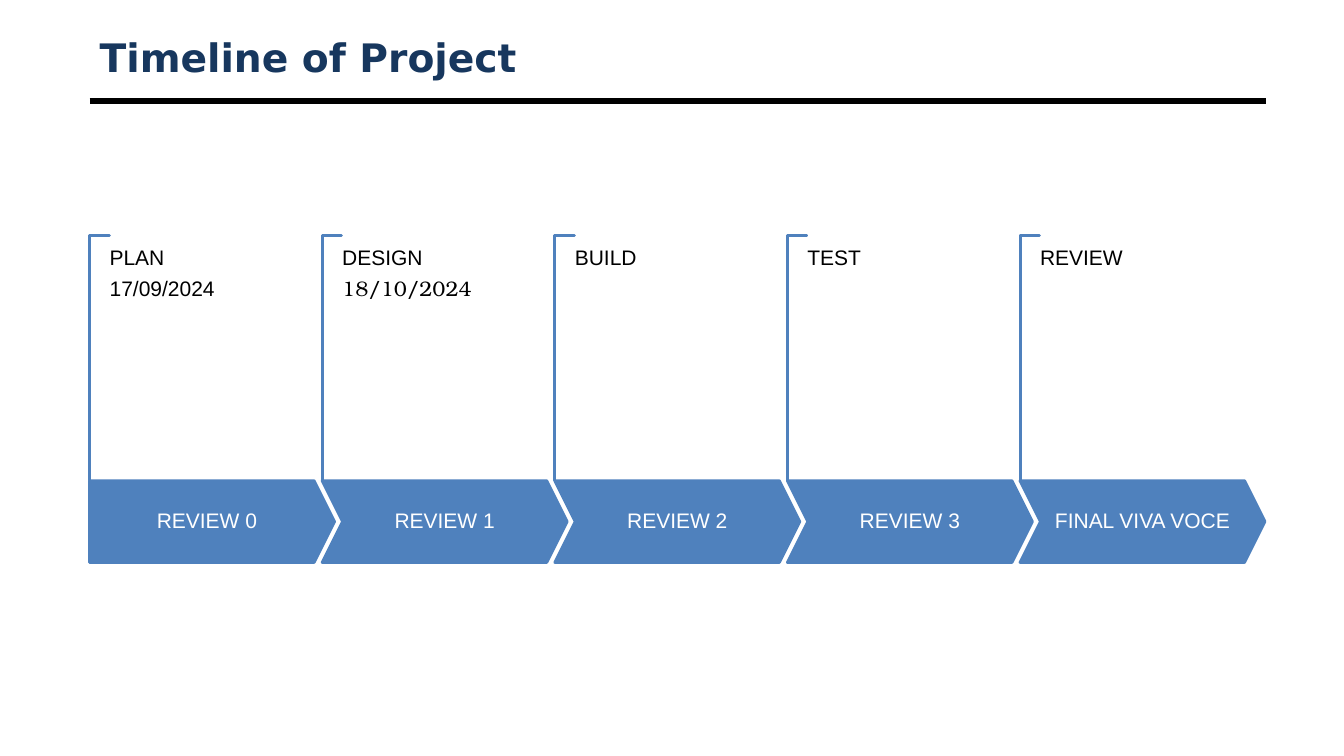
from lxml import etree
from pptx import Presentation
from pptx.dml.color import RGBColor
from pptx.enum import shapes, text
from pptx.oxml import ns
from pptx.util import Pt

NAVY = RGBColor(0x17, 0x37, 0x5E)
BLUE = RGBColor(0x4F, 0x81, 0xBD)
WHITE = RGBColor(0xFF, 0xFF, 0xFF)
BLACK = RGBColor(0x00, 0x00, 0x00)

LEFT = 64
RIGHT = 904.3
PITCH = 166.15
BRACKET_TOP = 168
BAR_TOP = 343.4

STAGES = [
    ("REVIEW 0", [("PLAN", "Arial"), ("17/09/2024", "Arial")]),
    ("REVIEW 1", [("DESIGN", "Arial"), ("18/10/2024", "TeX Gyre Bonum")]),
    ("REVIEW 2", [("BUILD", "Arial")]),
    ("REVIEW 3", [("TEST", "Arial")]),
    ("FINAL VIVA VOCE", [("REVIEW", "Arial")]),
]


class TimelineSlide:
    def __init__(self, presentation):
        self.slide = presentation.slides.add_slide(presentation.slide_layouts[5])
        self.size = 15
        self.font = "Arial"

    def style(self, paragraph, font, size, color, bold=False):
        paragraph.font.name = font
        paragraph.font.size = Pt(size)
        paragraph.font.bold = bold
        paragraph.font.color.rgb = color

    def set_margins(self, frame, horizontal, vertical):
        frame.margin_left = frame.margin_right = Pt(horizontal)
        frame.margin_top = frame.margin_bottom = Pt(vertical)

    def title(self, wording, left, top, width, height):
        title = self.slide.shapes.title
        title.left, title.top = Pt(left), Pt(top)
        title.width, title.height = Pt(width), Pt(height)
        frame = title.text_frame
        frame.text = wording
        frame.auto_size = text.MSO_AUTO_SIZE.NONE
        frame.vertical_anchor = text.MSO_ANCHOR.MIDDLE
        paragraph = frame.paragraphs[0]
        paragraph.alignment = text.PP_ALIGN.LEFT
        self.style(paragraph, "DejaVu Sans", 28, NAVY, bold=True)

    def rule(self, left, right, top):
        line = self.slide.shapes.add_connector(
            shapes.MSO_CONNECTOR.STRAIGHT, Pt(left), Pt(top), Pt(right), Pt(top))
        line.line.color.rgb = BLACK
        line.line.width = Pt(4.5)
        etree.SubElement(line._element.spPr, ns.qn("a:effectLst"))

    def shape(self, kind, left, top, width, height, fill, adjustments):
        shape = self.slide.shapes.add_shape(
            kind, Pt(left), Pt(top), Pt(width), Pt(height))
        shape.shadow.inherit = False
        shape.fill.solid()
        shape.fill.fore_color.rgb = fill
        shape.line.color.rgb = BLUE
        shape.line.width = Pt(2)
        for index, value in enumerate(adjustments):
            shape.adjustments[index] = value
        return shape

    def bracket(self, left, top, width, height):
        shape = self.shape(
            shapes.MSO_SHAPE.CORNER, left + (width - height) / 2,
            top + (height - width) / 2, height, width, WHITE, [0.01, 0.01])
        shape.rotation = 90

    def step(self, kind, wording, left, top, width, height):
        shape = self.shape(kind, left, top, width, height, BLUE, [0.25])
        frame = shape.text_frame
        self.set_margins(frame, 7.2, 15)
        frame.word_wrap = True
        frame.vertical_anchor = text.MSO_ANCHOR.MIDDLE
        paragraph = frame.paragraphs[0]
        paragraph.text = wording
        paragraph.alignment = text.PP_ALIGN.CENTER
        paragraph.line_spacing = 0.9
        self.style(paragraph, self.font, self.size, WHITE)

    def details(self, lines, left, top, width, height):
        box = self.slide.shapes.add_textbox(Pt(left), Pt(top), Pt(width), Pt(height))
        frame = box.text_frame
        frame.word_wrap = True
        self.set_margins(frame, 0, 0)
        for index, (wording, font) in enumerate(lines):
            paragraph = frame.add_paragraph() if index else frame.paragraphs[0]
            paragraph.text = wording
            paragraph.line_spacing = 0.9
            paragraph.space_after = Pt(6)
            self.style(paragraph, font, self.size, BLACK)


def main():
    presentation = Presentation()
    presentation.slide_width = Pt(960)
    presentation.slide_height = Pt(540)
    timeline = TimelineSlide(presentation)
    timeline.rule(LEFT, RIGHT, 72)
    timeline.title("Timeline of Project", LEFT, 21.6, RIGHT - LEFT, 38.4)
    for index, (review, lines) in enumerate(STAGES):
        left = LEFT + index * PITCH
        kind = shapes.MSO_SHAPE.CHEVRON if index else shapes.MSO_SHAPE.PENTAGON
        timeline.bracket(left, BRACKET_TOP, 14, BAR_TOP - BRACKET_TOP)
        timeline.step(kind, review, left, BAR_TOP, 175, 58.4)
        timeline.details(lines, left + 14.3, 176.4, 142, 158.4)
    presentation.save("out.pptx")


if __name__ == "__main__":
    main()
